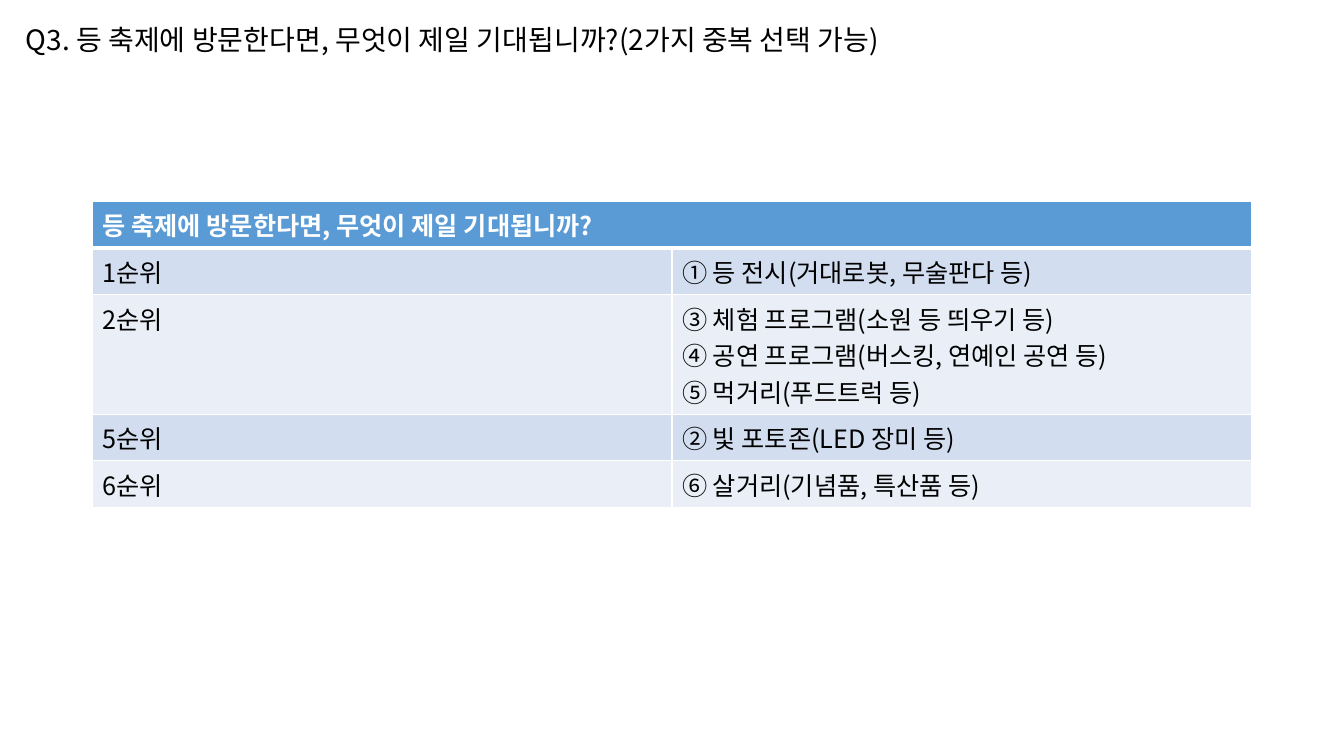
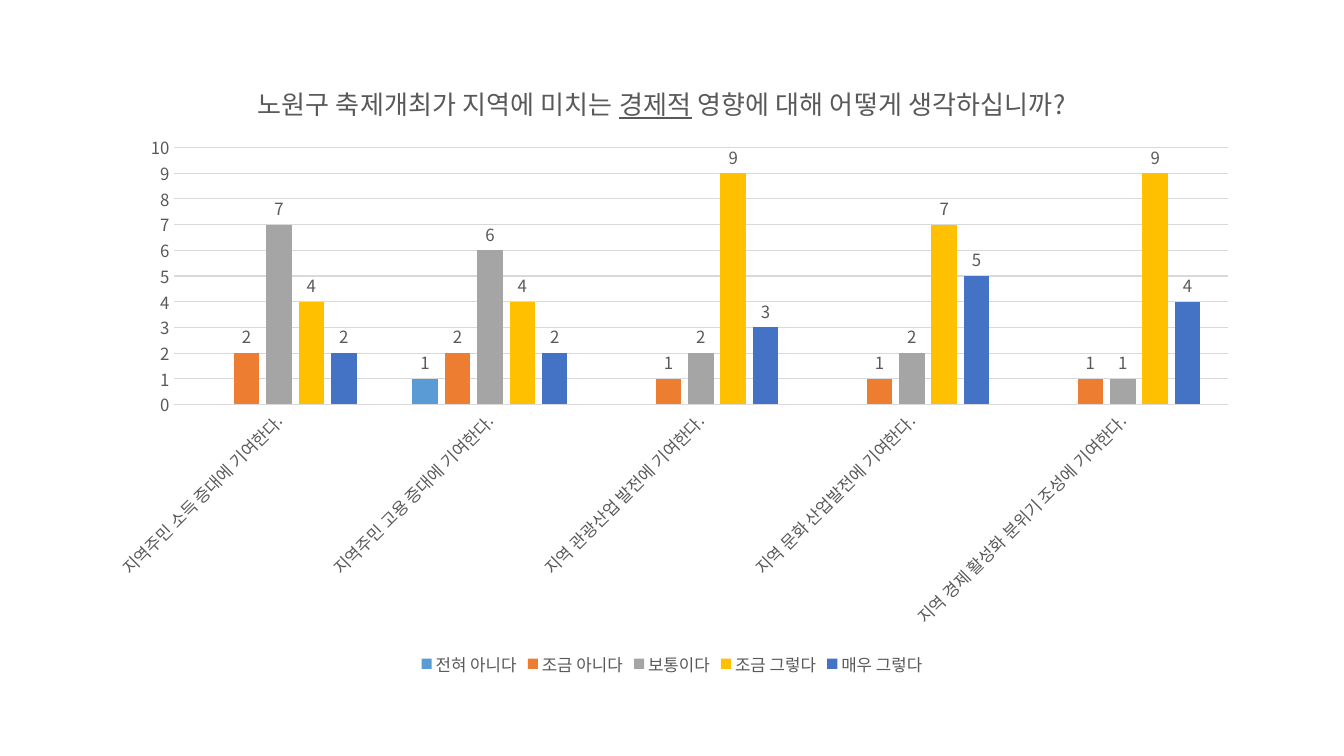
"""Build two festival survey slides: a ranking table and an economic impact chart."""
from dataclasses import dataclass

from lxml import etree
from pptx import Presentation
from pptx.chart.data import CategoryChartData
from pptx.dml.color import RGBColor
from pptx.enum.chart import XL_CHART_TYPE, XL_LABEL_POSITION, XL_LEGEND_POSITION, XL_TICK_MARK
from pptx.enum.text import MSO_ANCHOR, MSO_AUTO_SIZE, PP_ALIGN
from pptx.oxml.ns import qn
from pptx.util import Pt

COLUMN = XL_CHART_TYPE.COLUMN_CLUSTERED
OUTSIDE = XL_LABEL_POSITION.OUTSIDE_END
BOTTOM = XL_LEGEND_POSITION.BOTTOM
NO_TICK = XL_TICK_MARK.NONE
MIDDLE = MSO_ANCHOR.MIDDLE
NO_AUTOFIT = MSO_AUTO_SIZE.NONE
LEFT = PP_ALIGN.LEFT
PX = 9525


@dataclass(frozen=True)
class Theme:
    face: str = "Noto Sans CJK KR"
    ink: str = "000000"
    muted: str = "595959"
    rule: str = "D9D9D9"
    paper: str = "FFFFFF"
    header: str = "5B9BD5"
    bands: tuple = ("D2DEEF", "EAEFF7")
    series: tuple = ("5B9BD5", "ED7D31", "A5A5A5", "FFC000", "4472C4")
    title_size: float = 20
    table_size: float = 18
    chart_title_size: float = 18.6
    label_size: float = 12
    line: float = 0.75
    border: float = 1
    header_border: float = 3


THEME = Theme()

SLIDE_SIZE = (1280, 720)
QUESTION_BOX = (15, 16, 923, 42)
RANKING_BOX = (88, 192, 1104, 252)
ROW_HEIGHT = 39
IMPACT_BOX = (88, 51, 1104, 597)

QUESTION = "Q3. 등 축제에 방문한다면, 무엇이 제일 기대됩니까?(2가지 중복 선택 가능)"
RANKING_HEADER = "등 축제에 방문한다면, 무엇이 제일 기대됩니까?"
RANKING = [
    ("1순위", ["① 등 전시(거대로봇, 무술판다 등)"]),
    ("2순위", ["③ 체험 프로그램(소원 등 띄우기 등)",
             "④ 공연 프로그램(버스킹, 연예인 공연 등)",
             "⑤ 먹거리(푸드트럭 등)"]),
    ("5순위", ["② 빛 포토존(LED 장미 등)"]),
    ("6순위", ["⑥ 살거리(기념품, 특산품 등)"]),
]

IMPACT_TITLE = [
    ("노원구 축제개최가 지역에 미치는 ", False),
    ("경제적", True),
    (" 영향에 대해 어떻게 생각하십니까?", False),
]
IMPACTS = [
    "지역주민 소득 증대에 기여한다.",
    "지역주민 고용 증대에 기여한다.",
    "지역 관광산업 발전에 기여한다.",
    "지역 문화 산업발전에 기여한다.",
    "지역 경제 활성화 분위기 조성에 기여한다.",
]
ANSWERS = {
    "전혀 아니다": (None, 1, None, None, None),
    "조금 아니다": (2, 2, 1, 1, 1),
    "보통이다": (7, 6, 2, 2, 1),
    "조금 그렇다": (4, 4, 9, 7, 9),
    "매우 그렇다": (2, 2, 3, 5, 4),
}
TITLE_PLACE = {"x": 0.14, "y": 0.04}
PLOT_PLACE = {"x": 0.07, "y": 0.15, "w": 0.91, "h": 0.41}


def emu(box):
    return [length * PX for length in box]


def rgb(code):
    return RGBColor.from_string(code)


def style(font, size, color, bold=False):
    font.name = THEME.face
    font.size = Pt(size)
    font.bold = bold
    font.color.rgb = rgb(color)


def use_face_for_korean(root):
    for latin in list(root.iter(qn("a:latin"))):
        east_asian = etree.Element(qn("a:ea"))
        east_asian.set("typeface", THEME.face)
        latin.addnext(east_asian)


def set_borders(cell, top, bottom):
    edges = {"a:lnL": THEME.border, "a:lnR": THEME.border, "a:lnT": top, "a:lnB": bottom}
    properties = cell._tc.get_or_add_tcPr()
    for position, (edge, width) in enumerate(edges.items()):
        line = etree.Element(qn(edge), w=str(int(Pt(width))))
        fill = etree.SubElement(line, qn("a:solidFill"))
        etree.SubElement(fill, qn("a:srgbClr"), val=THEME.paper)
        properties.insert(position, line)


def fill_cell(cell, lines, fill, color, bold=False):
    cell.text_frame.text = "\n".join(lines)
    for paragraph in cell.text_frame.paragraphs:
        for run in paragraph.runs:
            style(run.font, THEME.table_size, color, bold)
    cell.fill.solid()
    cell.fill.fore_color.rgb = rgb(fill)


def place(parent, position, fractions):
    for old in parent.findall(qn("c:layout")):
        parent.remove(old)
    layout = etree.Element(qn("c:layout"))
    manual = etree.SubElement(layout, qn("c:manualLayout"))
    if "w" in fractions:
        etree.SubElement(manual, qn("c:layoutTarget"), val="inner")
    for axis in "xy":
        etree.SubElement(manual, qn(f"c:{axis}Mode"), val="edge")
    for key, value in fractions.items():
        etree.SubElement(manual, qn(f"c:{key}"), val=str(value))
    parent.insert(position, layout)


def add_question(slide):
    title = slide.shapes.title
    title.left, title.top, title.width, title.height = emu(QUESTION_BOX)
    frame = title.text_frame
    frame.text = QUESTION
    frame.word_wrap = True
    frame.auto_size = NO_AUTOFIT
    frame.vertical_anchor = MIDDLE
    frame.paragraphs[0].alignment = LEFT
    style(frame.paragraphs[0].runs[0].font, THEME.title_size, THEME.ink)


def add_ranking(slide):
    ranking = slide.shapes.add_table(len(RANKING) + 1, 2, *emu(RANKING_BOX)).table
    for row in ranking.rows:
        row.height = ROW_HEIGHT * PX
    ranking.cell(0, 0).merge(ranking.cell(0, 1))
    fill_cell(ranking.cell(0, 0), [RANKING_HEADER], THEME.header, THEME.paper, True)
    for index, (rank, choices) in enumerate(RANKING):
        band = THEME.bands[index % 2]
        for column, lines in enumerate(([rank], choices)):
            fill_cell(ranking.cell(index + 1, column), lines, band, THEME.ink)
    for index in range(len(RANKING) + 1):
        top = THEME.header_border if index == 1 else THEME.border
        bottom = THEME.header_border if index == 0 else THEME.border
        for column in range(2):
            set_borders(ranking.cell(index, column), top, bottom)


def add_impact_title(chart):
    chart.has_title = True
    heading = chart.chart_title.text_frame.paragraphs[0]
    for words, underlined in IMPACT_TITLE:
        run = heading.add_run()
        run.text = words
        style(run.font, THEME.chart_title_size, THEME.muted)
        run.font.underline = underlined


def format_axes(chart):
    impacts, counts = chart.category_axis, chart.value_axis
    for axis in (impacts, counts):
        axis.major_tick_mark = axis.minor_tick_mark = NO_TICK
        style(axis.tick_labels.font, THEME.label_size, THEME.muted)
    counts.minimum_scale, counts.maximum_scale, counts.major_unit = 0, 10, 1
    counts.format.line.fill.background()
    counts.has_major_gridlines = True
    for line in (impacts.format.line, counts.major_gridlines.format.line):
        line.color.rgb = rgb(THEME.rule)
        line.width = Pt(THEME.line)
    label_body = chart.element.find(f".//{qn('c:catAx')}/{qn('c:txPr')}/{qn('a:bodyPr')}")
    label_body.set("rot", "-2700000")
    label_body.set("vert", "horz")


def add_impact(slide):
    data = CategoryChartData()
    data.categories = IMPACTS
    for answer, counts in ANSWERS.items():
        data.add_series(answer, counts)
    chart = slide.shapes.add_chart(COLUMN, *emu(IMPACT_BOX), data).chart
    style(chart.font, THEME.label_size, THEME.muted)
    add_impact_title(chart)
    format_axes(chart)
    plot = chart.plots[0]
    plot.vary_by_categories = False
    plot.gap_width, plot.overlap = 219, -27
    for series, color in zip(plot.series, THEME.series):
        series.invert_if_negative = False
        series.format.fill.solid()
        series.format.fill.fore_color.rgb = rgb(color)
        labels = series.data_labels
        labels.show_value = True
        labels.position = OUTSIDE
        style(labels.font, THEME.label_size, THEME.muted)
    chart.has_legend = True
    chart.legend.position = BOTTOM
    chart.legend.include_in_layout = False
    style(chart.legend.font, THEME.label_size, THEME.muted)
    place(chart.element.find(f".//{qn('c:title')}"), 1, TITLE_PLACE)
    place(chart.element.find(f".//{qn('c:plotArea')}"), 0, PLOT_PLACE)
    use_face_for_korean(chart.element)


def main():
    deck = Presentation()
    deck.slide_width, deck.slide_height = emu(SLIDE_SIZE)
    title_only, blank = deck.slide_layouts[5], deck.slide_layouts[6]
    ranking_slide = deck.slides.add_slide(title_only)
    add_ranking(ranking_slide)
    add_question(ranking_slide)
    use_face_for_korean(ranking_slide.element)
    add_impact(deck.slides.add_slide(blank))
    deck.save("out.pptx")


if __name__ == "__main__":
    main()
